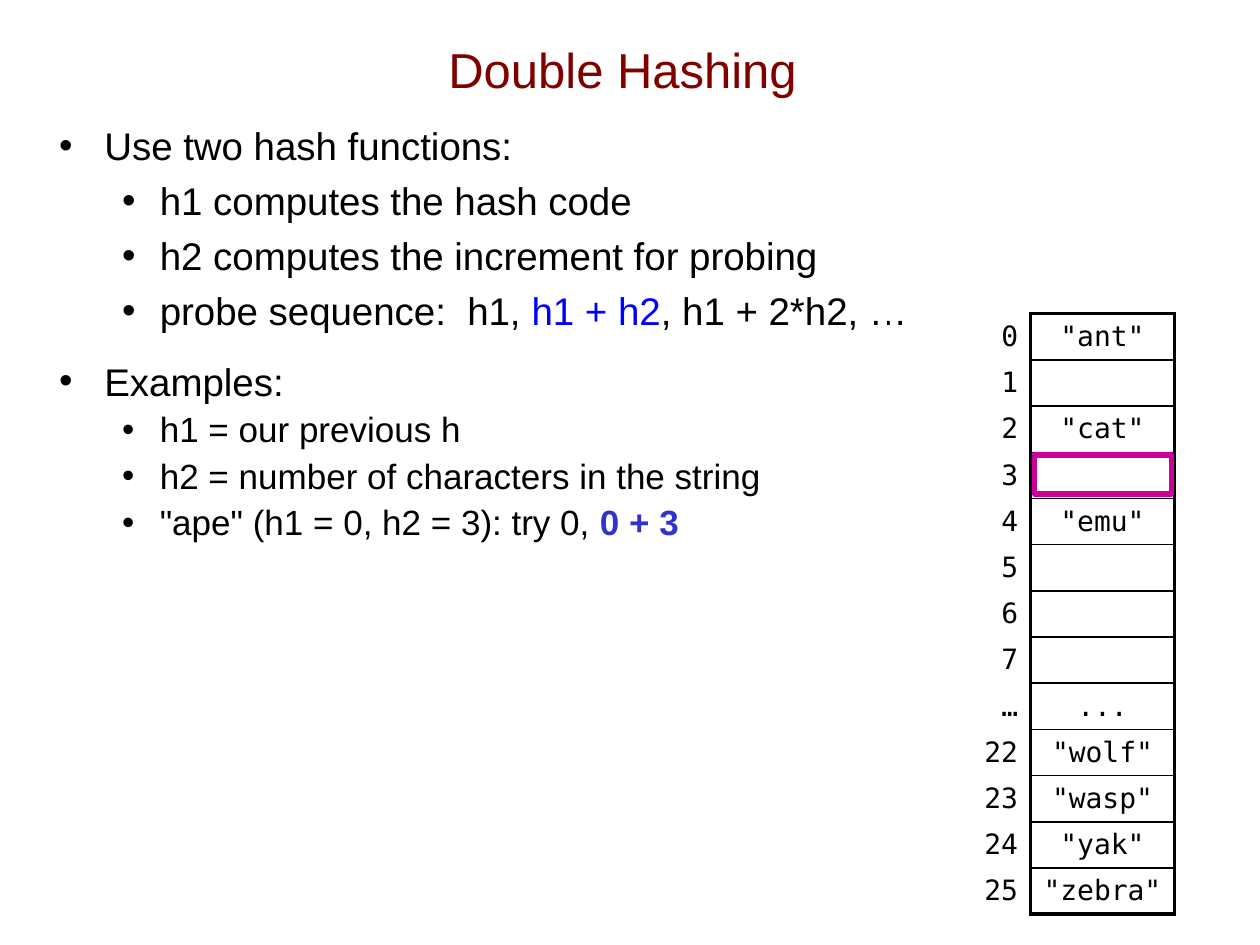
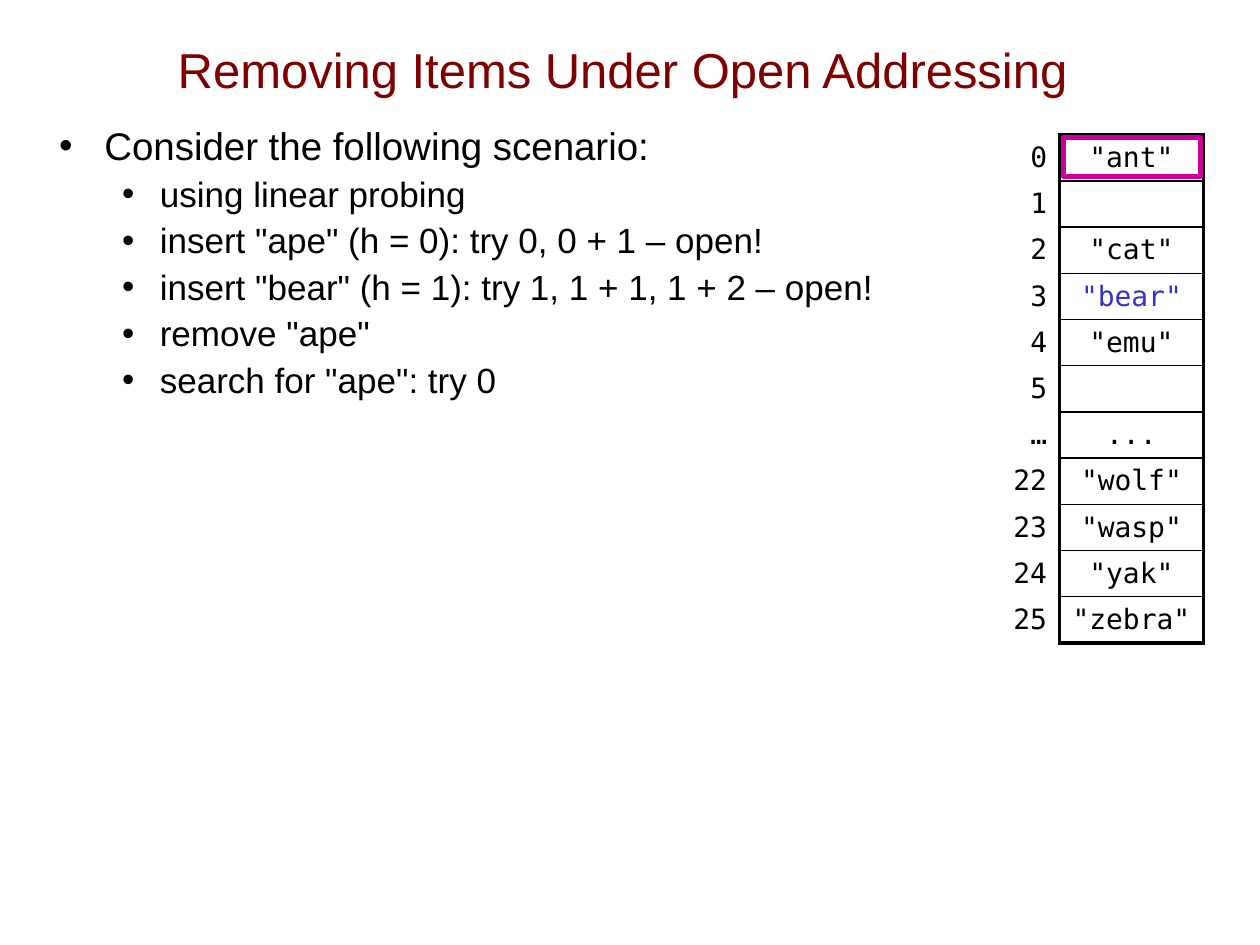
from lxml import etree
from pptx import Presentation
from pptx.dml.color import RGBColor
from pptx.enum import shapes, text
from pptx.oxml import ns
from pptx.util import Inches, Pt

BLACK = RGBColor(0x00, 0x00, 0x00)
MAROON = RGBColor(0x80, 0x00, 0x00)
BLUE = RGBColor(0x00, 0x00, 0xFF)
INDIGO = RGBColor(0x33, 0x33, 0xCC)
MAGENTA = RGBColor(0xCC, 0x00, 0x99)
SANS, MONO = "Arial", "DejaVu Sans Mono"

# Bullet styles: font size, left indent, hanging indent, space before, line spacing
BULLETS = {
    "main": dict(size=22, left=0.36, hang=0.36, before=14),
    "sub": dict(size=22, left=0.8, hang=0.3, before=5),
    "detail": dict(size=20, left=0.8, hang=0.3, before=5, spacing=0.9),
}

# Content: a text is a list of (words, format) runs or a plain string;
# each hash table maps an index to its entry
SLIDES = [
    {
        "title": "Double Hashing",
        "points": [
            ("main", "Use two hash functions:"),
            ("sub", "h1 computes the hash code"),
            ("sub", "h2 computes the increment for probing"),
            ("sub", [("probe sequence:  h1, ", {}), ("h1 + h2", {"color": BLUE}),
                     (", h1 + 2*h2, …", {})]),
            ("main", "Examples:"),
            ("detail", "h1 = our previous h"),
            ("detail", "h2 = number of characters in the string"),
            ("detail", [('"ape" (h1 = 0, h2 = 3): try 0, ', {}),
                        ("0 + 3", {"color": INDIGO, "bold": True})]),
        ],
        "table_at": (7.03, 2.49),
        "entries": {"0": '"ant"', "1": "", "2": '"cat"', "3": "", "4": '"emu"',
                    "5": "", "6": "", "7": "", "…": "...", "22": '"wolf"',
                    "23": '"wasp"', "24": '"yak"', "25": '"zebra"'},
        "probed_row": 3,
    },
    {
        "title": "Removing Items Under Open Addressing",
        "points": [
            ("main", "Consider the following scenario:"),
            ("detail", "using linear probing"),
            ("detail", 'insert "ape" (h = 0): try 0, 0 + 1 – open!'),
            ("detail", 'insert "bear" (h = 1): try 1, 1 + 1, 1 + 2 – open!'),
            ("detail", 'remove "ape"'),
            ("detail", 'search for "ape": try 0'),
        ],
        "table_at": (7.26, 1.07),
        "entries": {"0": '"ant"', "1": "", "2": '"cat"',
                    "3": [('"bear"', {"color": INDIGO})], "4": '"emu"', "5": "",
                    "…": "...", "22": '"wolf"', "23": '"wasp"', "24": '"yak"',
                    "25": '"zebra"'},
        "probed_row": 0,
    },
]

INDEX_WIDTH, ENTRY_WIDTH = 1.15, 1.14
ROW_HEIGHT = 4.77 / 13
OUTER_LINE, INNER_LINE = 2.25, 1


def write(paragraph, content, size, font=SANS, color=BLACK, align=None):
    """Fill a paragraph with a string or with (words, format) runs."""
    if align is not None:
        paragraph.alignment = align
    runs = [(content, {})] if isinstance(content, str) else content
    for words, style in runs:
        if not words:
            continue
        run = paragraph.add_run()
        run.text = words
        run.font.size = Pt(size)
        run.font.name = font
        run.font.bold = style.get("bold", False)
        run.font.color.rgb = style.get("color", color)


def add_frame(slide, left, top, width, height):
    box = slide.shapes.add_textbox(*map(Inches, (left, top, width, height)))
    box.text_frame.word_wrap = True
    return box.text_frame


def set_bullet(paragraph, left, hang):
    properties = paragraph._p.get_or_add_pPr()
    properties.set("marL", str(Inches(left)))
    properties.set("indent", str(-Inches(hang)))
    color = etree.SubElement(properties, ns.qn("a:buClr"))
    etree.SubElement(color, ns.qn("a:srgbClr"), val=str(BLACK))
    etree.SubElement(properties, ns.qn("a:buFont"), typeface=SANS)
    etree.SubElement(properties, ns.qn("a:buChar"), char="•")


def add_points(slide, points):
    frame = add_frame(slide, 0.37, 0.92, 9.25, 6.14)
    for i, (kind, content) in enumerate(points):
        style = BULLETS[kind]
        paragraph = frame.add_paragraph() if i else frame.paragraphs[0]
        set_bullet(paragraph, style["left"], style["hang"])
        if i:
            paragraph.space_before = Pt(style["before"])
        paragraph.line_spacing = style.get("spacing", 1.0)
        write(paragraph, content, style["size"])


def set_borders(cell, **widths):
    """Draw black borders; sides are given in the order L, R, T, B."""
    properties = cell._tc.get_or_add_tcPr()
    for side, width in widths.items():
        line = etree.SubElement(properties, ns.qn(f"a:ln{side}"), w=str(Pt(width)))
        fill = etree.SubElement(line, ns.qn("a:solidFill"))
        etree.SubElement(fill, ns.qn("a:srgbClr"), val=str(BLACK))


def add_hash_table(slide, left, top, entries):
    count = len(entries)
    table = slide.shapes.add_table(
        count, 2, Inches(left), Inches(top),
        Inches(INDEX_WIDTH + ENTRY_WIDTH), Inches(ROW_HEIGHT * count)).table
    table.first_row = table.horz_banding = False
    table.columns[0].width = Inches(INDEX_WIDTH)
    table.columns[1].width = Inches(ENTRY_WIDTH)
    for row, (index, entry) in enumerate(entries.items()):
        table.rows[row].height = Inches(ROW_HEIGHT)
        index_cell, entry_cell = table.cell(row, 0), table.cell(row, 1)
        set_borders(index_cell, R=OUTER_LINE)
        set_borders(entry_cell, L=OUTER_LINE, R=OUTER_LINE,
                    T=INNER_LINE if row else OUTER_LINE,
                    B=INNER_LINE if row < count - 1 else OUTER_LINE)
        for cell, content, align in (
                (index_cell, index, text.PP_ALIGN.RIGHT),
                (entry_cell, entry, text.PP_ALIGN.CENTER)):
            cell.fill.background()
            cell.margin_top = cell.margin_bottom = Inches(0.02)
            cell.vertical_anchor = text.MSO_ANCHOR.MIDDLE
            write(cell.text_frame.paragraphs[0], content, 16, font=MONO, align=align)


def add_probe_frame(slide, left, top, row):
    frame = slide.shapes.add_shape(
        shapes.MSO_SHAPE.RECTANGLE, Inches(left + INDEX_WIDTH + 0.03),
        Inches(top + row * ROW_HEIGHT + 0.02), Inches(1.09), Inches(0.31))
    frame.shadow.inherit = False
    frame.fill.background()
    frame.line.color.rgb = MAGENTA
    frame.line.width = Pt(3)


def main():
    deck = Presentation()
    deck.slide_width, deck.slide_height = Inches(10), Inches(7.5)
    for content in SLIDES:
        slide = deck.slides.add_slide(deck.slide_layouts[6])
        # Title
        title = add_frame(slide, 0.64, 0.08, 8.6, 0.93)
        title.vertical_anchor = text.MSO_ANCHOR.MIDDLE
        write(title.paragraphs[0], content["title"], 28, color=MAROON,
              align=text.PP_ALIGN.CENTER)
        # Bullets, hash table and the frame round the probed row
        add_points(slide, content["points"])
        add_hash_table(slide, *content["table_at"], content["entries"])
        add_probe_frame(slide, *content["table_at"], content["probed_row"])
    deck.save("out.pptx")


if __name__ == "__main__":
    main()
